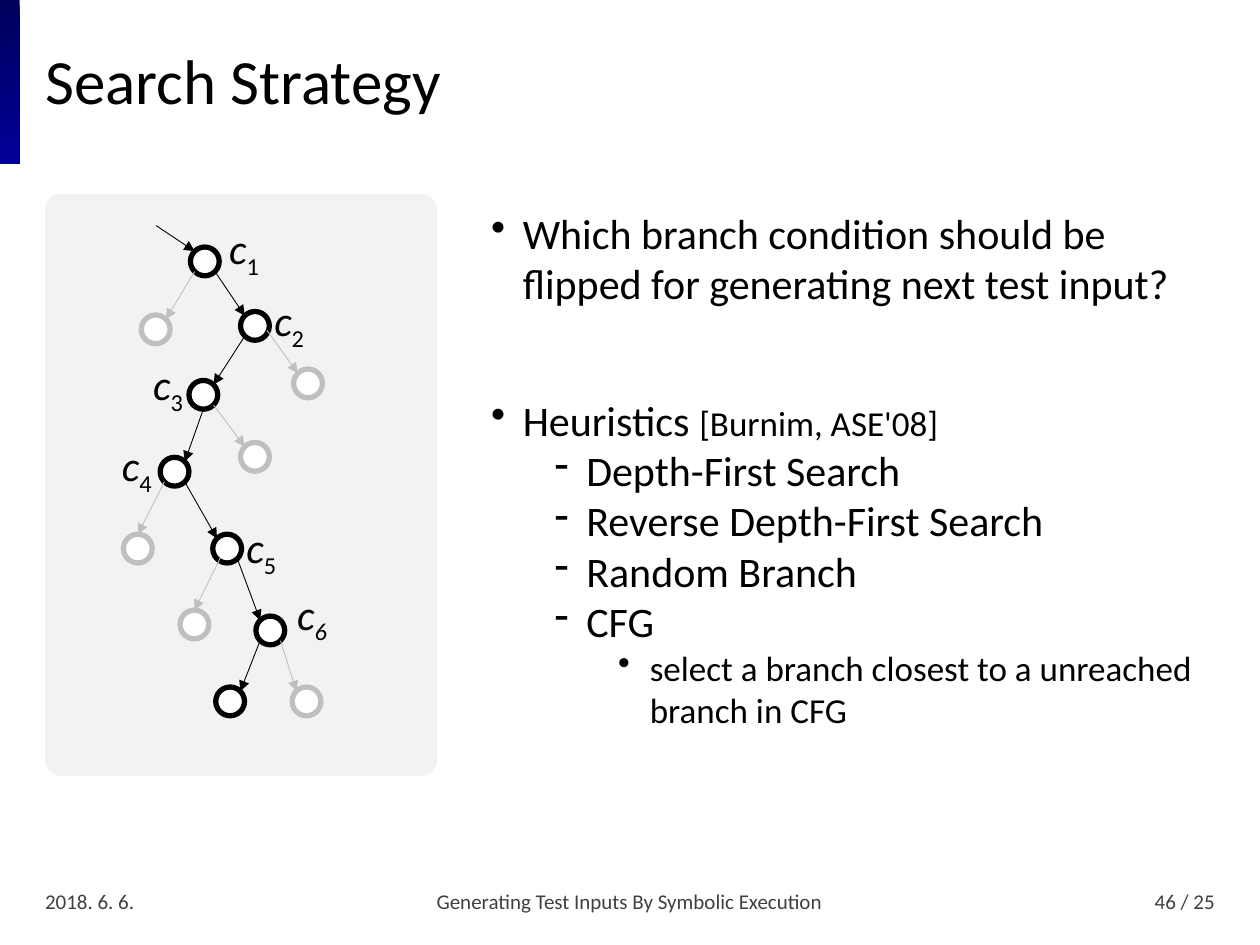
from dataclasses import dataclass

from lxml import etree
from pptx import Presentation
from pptx.dml.color import RGBColor
from pptx.enum.shapes import MSO_CONNECTOR, MSO_SHAPE
from pptx.enum.text import MSO_ANCHOR, PP_ALIGN
from pptx.oxml.ns import qn
from pptx.util import Cm, Pt

LEFT, CENTER, RIGHT = PP_ALIGN.LEFT, PP_ALIGN.CENTER, PP_ALIGN.RIGHT
TOP, MIDDLE = MSO_ANCHOR.TOP, MSO_ANCHOR.MIDDLE
STRAIGHT = MSO_CONNECTOR.STRAIGHT
RECT, ROUNDED, OVAL = MSO_SHAPE.RECTANGLE, MSO_SHAPE.ROUNDED_RECTANGLE, MSO_SHAPE.OVAL


@dataclass(frozen=True)
class Theme:
    font: str = "Calibri"
    text: str = "000000"
    footer: str = "404040"
    panel: str = "F2F2F2"
    node: str = "FFFFFF"
    taken: str = "000000"
    skipped: str = "BFBFBF"
    bar_top: str = "00005B"
    bar_bottom: str = "000099"
    title_size: int = 36
    body_size: int = 24
    detail_size: int = 20
    footer_size: int = 12


THEME = Theme()
RADIUS = 0.29
INDENT = 0.64
BULLETS = ("•", "-", "•")

ANCHORS = {
    "top": (0, -1),
    "bottom": (0, 1),
    "top left": (-0.71, -0.71),
    "top right": (0.71, -0.71),
    "bottom left": (-0.71, 0.71),
    "bottom right": (0.71, 0.71),
    "low right": (0.83, 0.3),
    "low left": (-0.48, 0.65),
}

TAKEN = {
    "c1": (4.13, 5.27),
    "c2": (5.14, 6.57),
    "c3": (4.1, 7.96),
    "c4": (3.52, 9.51),
    "c5": (4.58, 11.06),
    "c6": (5.45, 12.71),
    "end": (4.64, 14.14),
}
SKIPPED = {
    "s1": (3.14, 6.64),
    "s2": (6.21, 7.73),
    "s3": (5.14, 9.21),
    "s4": (2.78, 11.06),
    "s5": (3.92, 12.59),
    "s6": (6.18, 14.14),
}
NODES = TAKEN | SKIPPED

EDGES = [
    ("c1", "bottom right", "c2", "top left"),
    ("c2", "bottom left", "c3", "top right"),
    ("c3", "bottom", "c4", "top right"),
    ("c4", "bottom right", "c5", "top left"),
    ("c5", "bottom right", "c6", "top left"),
    ("c6", "bottom left", "end", "top right"),
    ("c1", "bottom left", "s1", "top right"),
    ("c2", "low right", "s2", "top left"),
    ("c3", "bottom right", "s3", "top left"),
    ("c4", "bottom left", "s4", "top"),
    ("c5", "low left", "s5", "top"),
    ("c6", "bottom right", "s6", "top left"),
]

LABELS = [(4.37, 4.37), (5.28, 5.82), (2.84, 7.11), (2.21, 8.74), (4.72, 10.39), (5.74, 11.73)]

OUTLINE = [
    (0, 10, [("Which branch condition should be flipped for generating next test input?", THEME.body_size)]),
    (0, 49, [("Heuristics ", THEME.body_size), ("[Burnim, ASE'08]", THEME.detail_size)]),
    (1, 0, [("Depth-First Search", THEME.body_size)]),
    (1, 0, [("Reverse Depth-First Search", THEME.body_size)]),
    (1, 0, [("Random Branch", THEME.body_size)]),
    (1, 0, [("CFG", THEME.body_size)]),
    (2, 0, [("select a branch closest to a unreached branch in CFG", THEME.detail_size)]),
]

FOOTERS = [
    (0.66, 2.72, "2018. 6. 6.", LEFT),
    (3.51, 18.36, "Generating Test Inputs By Symbolic Execution", CENTER),
    (22.02, 2.72, "46 / 25", RIGHT),
]


def add_text(p, text, size=THEME.body_size, color=THEME.text, italic=False, baseline=0):
    r = p.add_run()
    r.text = text
    r.font.name = THEME.font
    r.font.size = Pt(size)
    r.font.italic = italic
    r.font.color.rgb = RGBColor.from_string(color)
    if baseline:
        r.font._element.set("baseline", str(baseline * 1000))
    return r


class SlideBuilder:
    def __init__(self, slide, theme):
        self.s = slide
        self.theme = theme

    def title(self, text, x, y, w, h):
        sp = self.s.shapes.title
        sp.left, sp.top, sp.width, sp.height = Cm(x), Cm(y), Cm(w), Cm(h)
        tf = sp.text_frame
        tf.vertical_anchor = MIDDLE
        p = tf.paragraphs[0]
        p.alignment = LEFT
        p.line_spacing = 0.9
        add_text(p, text, size=self.theme.title_size)

    def shape(self, kind, x, y, w, h, fill=None, line=None):
        sp = self.s.shapes.add_shape(kind, Cm(x), Cm(y), Cm(w), Cm(h))
        sp.shadow.inherit = False
        if fill:
            sp.fill.solid()
            sp.fill.fore_color.rgb = RGBColor.from_string(fill)
        if line:
            sp.line.color.rgb = RGBColor.from_string(line)
            sp.line.width = Pt(3)
        else:
            sp.line.fill.background()
        return sp

    def bar(self, x, y, w, h):
        sp = self.shape(RECT, x, y, w, h)
        sp.fill.gradient()
        sp.fill.gradient_angle = 270
        colors = (self.theme.bar_top, self.theme.bar_bottom)
        for stop, color in zip(sp.fill.gradient_stops, colors):
            stop.color.rgb = RGBColor.from_string(color)

    def node(self, center, color):
        x, y = center
        self.shape(OVAL, x - RADIUS, y - RADIUS, 2 * RADIUS, 2 * RADIUS, self.theme.node, color)

    def arrow(self, start, end, color):
        cxn = self.s.shapes.add_connector(STRAIGHT, *(Cm(v) for v in (*start, *end)))
        cxn.line.color.rgb = RGBColor.from_string(color)
        cxn.line.width = Pt(0.5)
        etree.SubElement(cxn.line._get_or_add_ln(), qn("a:tailEnd"), type="triangle")
        etree.SubElement(cxn._element.spPr, qn("a:effectLst"))

    def text_box(self, x, y, w, h, anchor=TOP):
        tf = self.s.shapes.add_textbox(Cm(x), Cm(y), Cm(w), Cm(h)).text_frame
        tf.word_wrap = True
        tf.vertical_anchor = anchor
        return tf

    def label(self, x, y, number):
        p = self.text_box(x, y, 1.9, 1.27).paragraphs[0]
        add_text(p, "c", italic=True)
        add_text(p, str(number), italic=number == 6, baseline=-25)

    def outline(self, items, x, y, w, h):
        tf = self.text_box(x, y, w, h)
        for i, (level, before, runs) in enumerate(items):
            p = tf.add_paragraph() if i else tf.paragraphs[0]
            p.level = level
            p.space_before = Pt(before)
            pPr = p._p.get_or_add_pPr()
            pPr.set("marL", str(Cm(INDENT * (2 * level + 1))))
            pPr.set("indent", str(-Cm(INDENT)))
            etree.SubElement(pPr, qn("a:buChar"), char=BULLETS[level])
            for text, size in runs:
                add_text(p, text, size=size)

    def footer(self, x, w, text, align):
        p = self.text_box(x, 17.65, w, 1.02, MIDDLE).paragraphs[0]
        p.alignment = align
        add_text(p, text, size=self.theme.footer_size, color=self.theme.footer)


def anchor_point(node, side):
    return tuple(c + RADIUS * d for c, d in zip(NODES[node], ANCHORS[side]))


def main():
    prs = Presentation()
    prs.slide_width, prs.slide_height = Cm(25.4), Cm(19.05)
    b = SlideBuilder(prs.slides.add_slide(prs.slide_layouts[5]), THEME)

    b.bar(0, 0, 0.4, 3.3)
    b.title("Search Strategy", 0.66, 0.51, 24.1, 2.39)
    b.outline(OUTLINE, 9.65, 4.06, 15.11, 13.11)
    for footer in FOOTERS:
        b.footer(*footer)

    panel = b.shape(ROUNDED, 0.91, 3.91, 7.9, 11.73, THEME.panel)
    panel.adjustments[0] = 0.04
    for name, center in NODES.items():
        b.node(center, THEME.taken if name in TAKEN else THEME.skipped)
    b.arrow((3.15, 4.55), anchor_point("c1", "top left"), THEME.taken)
    for source, out_side, target, in_side in EDGES:
        color = THEME.taken if target in TAKEN else THEME.skipped
        b.arrow(anchor_point(source, out_side), anchor_point(target, in_side), color)
    for number, (x, y) in enumerate(LABELS, 1):
        b.label(x, y, number)

    prs.save("out.pptx")


if __name__ == "__main__":
    main()
